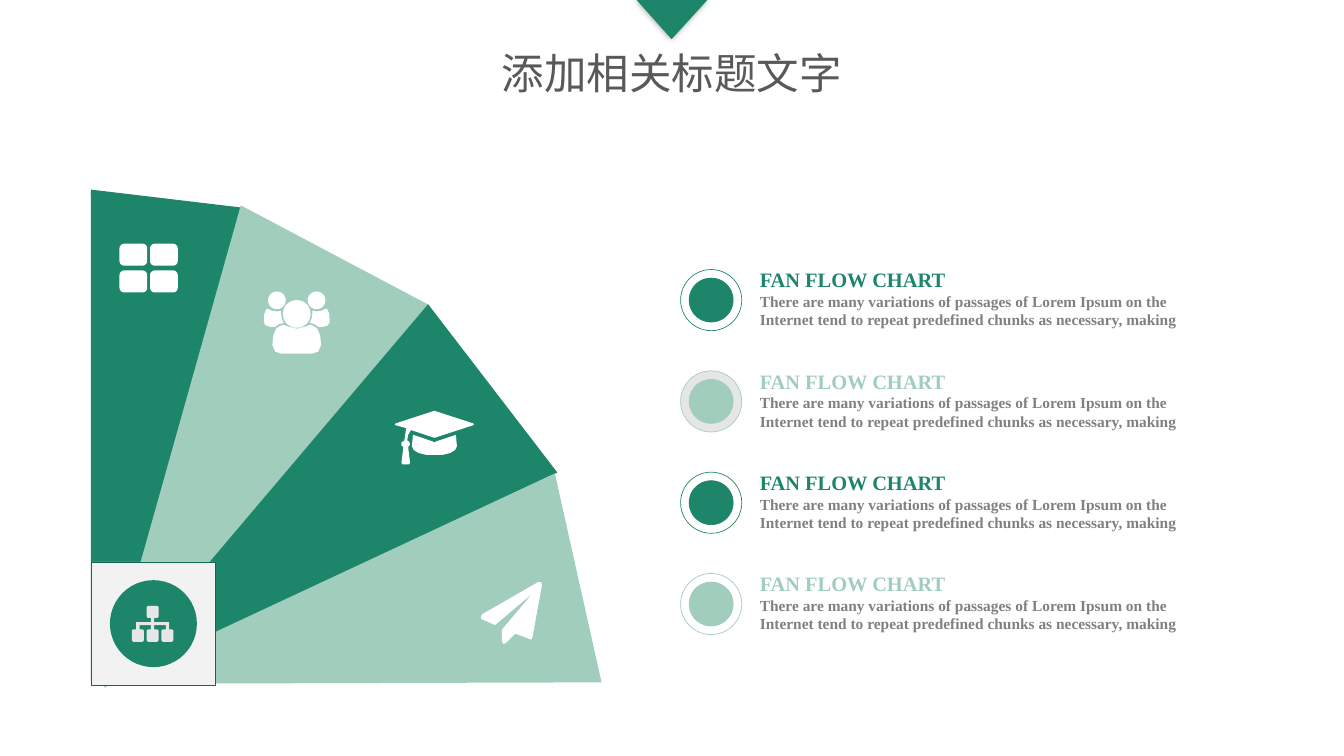
from math import cos, pi, sin

from lxml import etree
from pptx import Presentation
from pptx.dml.color import RGBColor
from pptx.enum.shapes import MSO_SHAPE
from pptx.enum.text import MSO_ANCHOR, PP_ALIGN
from pptx.oxml import parse_xml
from pptx.oxml.ns import qn
from pptx.util import Inches, Pt

RECT, OVAL, TRIANGLE = MSO_SHAPE.RECTANGLE, MSO_SHAPE.OVAL, MSO_SHAPE.ISOSCELES_TRIANGLE
MIDDLE, CENTER = MSO_ANCHOR.MIDDLE, PP_ALIGN.CENTER

WIDTH, HEIGHT = 14.06, 7.91
DARK, LIGHT, WHITE, SILVER = "1D856A", "A1CDBC", "FFFFFF", "E7E6E6"
TITLE_FONT, BODY_FONT = "Noto Sans CJK SC", "Times New Roman"
HEADING = "FAN FLOW CHART"
DETAIL = ("There are many variations of passages of Lorem Ipsum on the "
          "Internet tend to repeat predefined chunks as necessary, making")
BLADES = [  # left, top, width, height, rotation, colour
    (0.64, 2.06, 1.6, 5.13, 186.8, DARK),
    (1.19, 2.37, 2.22, 5.13, 207.9, LIGHT),
    (2.01, 3.06, 2.22, 5.13, 232.5, DARK),
    (2.45, 4.06, 2.24, 5.08, 257.4, LIGHT),
]
ITEMS = [(DARK, WHITE), (LIGHT, SILVER), (DARK, WHITE), (LIGHT, WHITE)]
# Icon outlines in hundredths of an inch from the icon's corner
CAP_BOARD = [(82, 15), (42, 28), (41, 28), (17, 20), (14, 25), (13, 31), (15, 32), (16, 35),
             (14, 38), (16, 54), (15, 56), (8, 56), (7, 54), (9, 38), (7, 36), (7, 33),
             (10, 31), (12, 18), (1, 15), (0, 14), (1, 13), (41, 0), (42, 0), (82, 13),
             (83, 14)]
CAP_CROWN = [(19, 25), (40, 32), (41, 33), (43, 32), (64, 25), (65, 37), (63, 41),
             (58, 44), (50, 46), (41, 46), (33, 46), (25, 44), (20, 41), (18, 37)]
PLANE = [(64, 3), (54, 58), (53, 60), (52, 60), (36, 54), (26, 64), (24, 65), (22, 62),
         (22, 50), (54, 12), (15, 45), (1, 39), (0, 37), (1, 34), (60, 0), (63, 0)]
SIDE_BODY = [(12, 37), (7, 37), (2, 35.5), (0, 32), (0.5, 24), (2, 19.5), (4, 18), (8, 20),
             (14, 21), (18, 20), (18, 23), (19, 29), (21, 33), (16, 34)]
HALF_BODY = [(18, 65), (12, 63), (9, 56), (10, 46), (13, 39), (17, 36), (21, 35), (26, 37),
             (34.5, 39)]
PEOPLE_WIDTH = 69


def colour(code):
    return RGBColor.from_string(code)


def paint(shape, fill, line=None):
    shape.shadow.inherit = False
    shape.fill.solid()
    shape.fill.fore_color.rgb = colour(fill)
    if line:
        shape.line.color.rgb = colour(line)
        shape.line.width = Pt(0.5)
    else:
        shape.line.fill.background()


def add_shape(page, kind, box, fill, line=None):
    shape = page.shapes.add_shape(kind, *map(Inches, box))
    paint(shape, fill, line)
    return shape


def add_icon(page, left, top, contours, fill):
    """Draw closed contours, in hundredths of an inch, as one shape."""
    builder = None
    for contour in contours:
        points = [(x * 10, y * 10) for x, y in contour]
        if builder is None:
            builder = page.shapes.build_freeform(*points[0], scale=Inches(0.001))
        else:
            builder.move_to(*points[0])
        builder.add_line_segments(points[1:], close=True)
    paint(builder.convert_to_shape(Inches(left), Inches(top)), fill)


def rounded(left, top, width, height, radius, steps=8):
    """Return the outline of a rectangle with round corners."""
    right, bottom = left + width - radius, top + height - radius
    corners = [(right, bottom), (left + radius, bottom),
               (left + radius, top + radius), (right, top + radius)]
    return [(x + radius * cos(angle), y + radius * sin(angle))
            for quarter, (x, y) in enumerate(corners)
            for angle in (pi / 2 * (quarter + step / steps) for step in range(steps + 1))]


def circle(left, top, size):
    return rounded(left, top, size, size, size / 2)


def mirrored(points):
    return [(PEOPLE_WIDTH - x, y) for x, y in reversed(points)]


def style(paragraph, font_name, size, code, bold):
    font = paragraph.font
    font.name, font.size, font.bold = font_name, Pt(size), bold
    font.color.rgb = colour(code)


def add_heading(page):
    """Place the title and the pointer hanging from the top edge."""
    title = page.shapes.title
    title.left, title.top, title.width, title.height = map(Inches, (5, 0.45, 4.06, 0.61))
    frame = title.text_frame
    frame.text = "添加相关标题文字"
    frame.vertical_anchor = MIDDLE
    frame.margin_left = frame.margin_right = Inches(0.07)
    frame.margin_top = frame.margin_bottom = Inches(0.04)
    para = frame.paragraphs[0]
    para.alignment = CENTER
    style(para, TITLE_FONT, 32, "595959", False)
    span = para.runs[0]
    span.font.name = TITLE_FONT
    etree.SubElement(span.font._element, qn("a:ea"), typeface=TITLE_FONT)

    pointer = add_shape(page, TRIANGLE, (6.66, 0, 0.74, 0.41), DARK)
    pointer.adjustments[0] = 0.495
    properties = pointer._element.spPr
    properties.find(qn("a:xfrm")).set("flipV", "1")
    properties.replace(properties.find(qn("a:effectLst")), parse_xml(
        '<a:effectLst xmlns:a="http://schemas.openxmlformats.org/drawingml/2006/main">'
        '<a:outerShdw blurRad="63500" dist="0" dir="0"><a:srgbClr val="000000">'
        '<a:alpha val="40000"/></a:srgbClr></a:outerShdw></a:effectLst>'))


def tiles_icon():
    return [rounded(32 * column, 28 * row, 29, 23, 5)
            for row in range(2) for column in range(2)]


def people_icon():
    return [SIDE_BODY, mirrored(SIDE_BODY), HALF_BODY + mirrored(HALF_BODY),
            circle(4.5, 0, 18.5), circle(46, 0, 18.5), circle(20, 9, 29)]


def tree_icon():
    node, step, bar_top, bar_bottom, leaf_top = 12.5, 15.5, 17, 20, 24.5
    nodes = [rounded(step, 0, node, 12.5, 2)]
    nodes += [rounded(step * index, leaf_top, node, 13, 2) for index in range(3)]
    stems = [node / 2 + step * index for index in range(3)]
    half = 1.7
    comb = [(stems[0] - half, leaf_top), (stems[0] - half, bar_top),
            (stems[1] - half, bar_top), (stems[1] - half, 12.5),
            (stems[1] + half, 12.5), (stems[1] + half, bar_top),
            (stems[2] + half, bar_top), (stems[2] + half, leaf_top),
            (stems[2] - half, leaf_top), (stems[2] - half, bar_bottom),
            (stems[1] + half, bar_bottom), (stems[1] + half, leaf_top),
            (stems[1] - half, leaf_top), (stems[1] - half, bar_bottom),
            (stems[0] + half, bar_bottom), (stems[0] + half, leaf_top)]
    return nodes + [comb]


def add_hub(page, left, top, side):
    """Draw the square at the fan's pivot with its tree icon."""
    add_shape(page, RECT, (left, top, side, side), "F2F2F2", "166450")
    add_shape(page, OVAL, (left + 0.19, top + 0.19, 0.91, 0.91), DARK)
    add_icon(page, left + 0.42, top + 0.46, tree_icon(), SILVER)


def add_fan(page):
    for *box, rotation, code in BLADES:
        add_shape(page, TRIANGLE, box, code).rotation = rotation
    add_shape(page, RECT, (0.95, 2.01, 0.21, 5.12), DARK)
    add_icon(page, 1.25, 2.55, tiles_icon(), WHITE)
    add_icon(page, 2.76, 3.05, people_icon(), WHITE)
    add_icon(page, 4.13, 4.3, [CAP_BOARD, CAP_CROWN], WHITE)
    add_icon(page, 5.03, 6.09, [PLANE], WHITE)
    add_hub(page, 0.96, 5.88, 1.29)


def add_item(page, left, top, code, ring_fill):
    """Place one ringed dot with its heading and detail text."""
    ring, dot = 0.64, 0.46
    inset = (ring - dot) / 2
    add_shape(page, OVAL, (left, top, ring, ring), ring_fill, code)
    add_shape(page, OVAL, (left + inset, top + inset, dot, dot), code, code)
    box = page.shapes.add_textbox(*map(Inches, (left + 0.73, top - 0.07, 4.65, 0.75)))
    frame = box.text_frame
    frame.word_wrap = True
    frame.text = HEADING
    style(frame.paragraphs[0], BODY_FONT, 15.4, code, True)
    detail = frame.add_paragraph()
    detail.text = DETAIL
    style(detail, BODY_FONT, 11.6, "808080", True)


def main():
    deck = Presentation()
    deck.slide_width, deck.slide_height = Inches(WIDTH), Inches(HEIGHT)
    page = deck.slides.add_slide(deck.slide_layouts[5])
    add_heading(page)
    add_fan(page)
    for index, (code, ring_fill) in enumerate(ITEMS):
        add_item(page, 7.12, 2.82 + 1.06 * index, code, ring_fill)
    deck.save("out.pptx")


if __name__ == "__main__":
    main()
